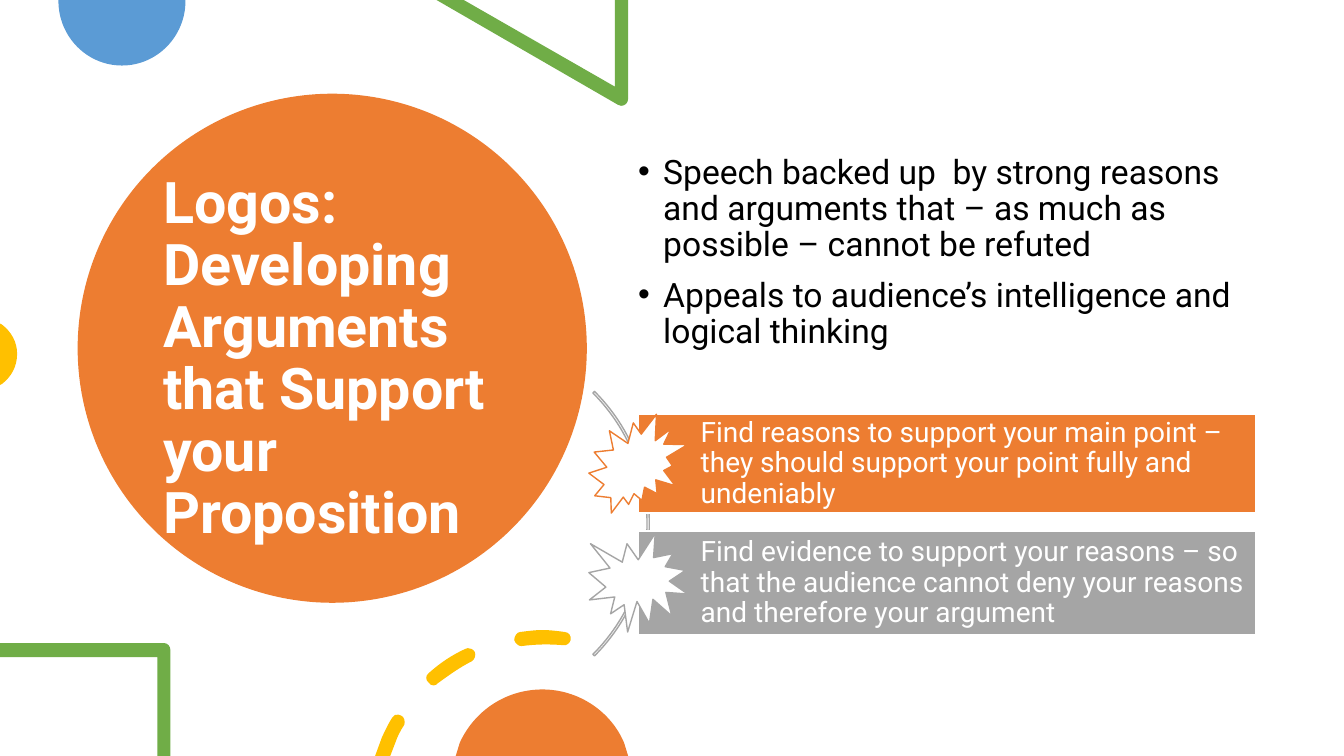
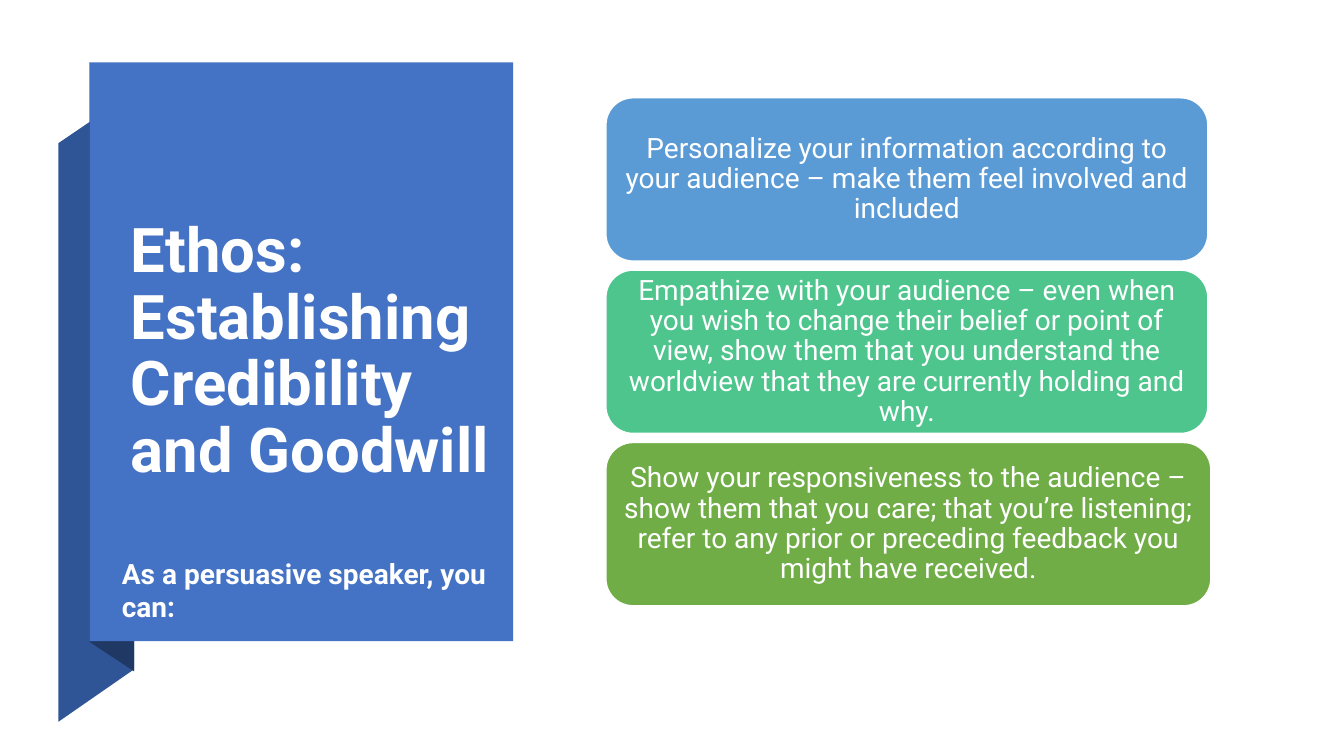
from dataclasses import dataclass

import lxml.etree
import pptx
import pptx.dml.color
import pptx.enum.shapes
import pptx.enum.text
import pptx.oxml.ns
import pptx.util

EMU_PER_PX = 9144  # 100 px to the inch
FONT = "Roboto"
WHITE, BLACK, GRAY = "FFFFFF", "000000", "A5A5A5"
ORANGE, GREEN, YELLOW = "ED7D31", "70AD47", "FFC000"
SKY, MINT, BLUE, DEEP_BLUE, NAVY = "5B9BD5", "4DC58D", "4472C4", "2F5597", "203864"

Preset = pptx.enum.shapes.MSO_SHAPE
Anchor = pptx.enum.text.MSO_ANCHOR
Align = pptx.enum.text.PP_ALIGN


@dataclass(frozen=True)
class Box:
    left: int
    top: int
    width: int
    height: int

    def emu(self) -> tuple:
        return tuple(px(n) for n in (self.left, self.top, self.width, self.height))


@dataclass(frozen=True)
class TextStyle:
    size: int
    color: str = WHITE
    bold: bool = False
    align: Align = Align.LEFT
    anchor: Anchor = Anchor.MIDDLE
    insets: tuple = (10, 5, 10, 5)
    line_spacing: float = 0.9
    space_before: int = 0
    bullet: str = ""


@dataclass(frozen=True)
class Outline:
    """A filled outline; contours use M, L, C and Z steps in px."""
    color: str
    contours: str


@dataclass(frozen=True)
class Step:
    box: Box
    color: str
    burst: Preset
    burst_top: int
    text: str


@dataclass(frozen=True)
class Card:
    width: int
    color: str
    text: str


BODY = TextStyle(24, BLACK, anchor=Anchor.TOP, space_before=10, bullet="•")
STEP_TEXT = TextStyle(20, insets=(62, 6, 6, 6))
CARD_TEXT = TextStyle(20, align=Align.CENTER, insets=(8, 4, 8, 4))
CAPTION = TextStyle(20, bold=True, anchor=Anchor.TOP, line_spacing=1.0)

DECORATIONS = [
    Outline(SKY, "M 184 0 L 58 0 L 58 1 C 58 36 86 65 121 65 C 156 65 184 36 184 1 Z"),
    Outline(GREEN, "M 623 0 L 610 0 L 610 86 L 460 0 L 433 0 L 613 104 "
                   "C 614 105 615 105 616 105 C 620 105 623 102 623 98 Z"),
    Outline(YELLOW, "M 0 321 L 0 382 L 2 381 C 11 374 17 364 17 351 "
                    "C 17 339 11 329 2 322 Z"),
    Outline(GREEN, "M 163 638 L 0 638 L 0 652 L 156 652 L 156 750 L 169 750 "
                   "L 169 645 C 169 641 166 638 163 638 Z"),
    Outline(YELLOW, "M 395 709 C 393 708 390 710 389 712 C 385 718 382 725 379 731 "
                    "L 372 750 L 387 750 L 392 737 C 394 731 397 725 401 719 "
                    "C 402 716 401 711 398 710 C 397 709 396 709 395 709 Z "
                    "M 464 643 C 463 643 462 643 461 644 C 448 650 436 658 425 668 "
                    "C 422 670 422 675 425 677 C 426 679 428 680 430 680 "
                    "C 432 680 433 679 434 678 C 445 670 456 662 468 656 "
                    "C 471 654 472 650 471 647 C 469 644 467 643 464 643 Z "
                    "M 538 625 C 531 625 524 626 516 627 C 513 627 510 631 510 635 "
                    "C 511 638 514 641 517 641 C 532 639 545 639 558 640 "
                    "C 562 641 565 638 566 635 C 567 631 564 627 560 627 "
                    "C 553 626 545 625 538 625 Z"),
    Outline(ORANGE, "M 538 684 C 501 684 470 706 456 737 L 452 750 L 623 750 "
                    "L 619 737 C 606 706 574 684 538 684 Z"),
]
RIBBON_FOLDS = [
    Outline(DEEP_BLUE, "M 58 716 L 133 664 L 133 91 L 58 142 Z"),
    Outline(NAVY, "M 89 637 L 133 666 L 133 90 L 89 62 Z"),
]
STEPS = [
    Step(Box(633, 411, 613, 98), ORANGE, Preset.EXPLOSION2, 411,
         "Find reasons to support your main point – they should support your point "
         "fully and undeniably"),
    Step(Box(633, 527, 613, 103), GRAY, Preset.EXPLOSION1, 529,
         "Find evidence to support your reasons – so that the audience cannot deny "
         "your reasons and therefore your argument"),
]
BURST_LEFT, BURST_SIZE = 584, 98
CARDS = [
    Card(597, SKY, "Personalize your information according to your audience – make "
                   "them feel involved and included"),
    Card(597, MINT, "Empathize with your audience – even when you wish to change their "
                    "belief or point of view, show them that you understand the "
                    "worldview that they are currently holding and why."),
    Card(600, GREEN, "Show your responsiveness to the audience – show them that you "
                     "care; that you’re listening; refer to any prior or preceding "
                     "feedback you might have received."),
]
CARD_LEFT, CARD_TOP, CARD_HEIGHT, CARD_PITCH = 601, 97, 162, 171


def px(length: float) -> int:
    return round(length * EMU_PER_PX)


def rgb(color: str) -> pptx.dml.color.RGBColor:
    return pptx.dml.color.RGBColor.from_string(color)


def paint(shape, fill: str = "", line: str = "") -> None:
    """Set fill and a 1 pt line; an empty colour means none."""
    shape.shadow.inherit = False
    if fill:
        shape.fill.solid()
        shape.fill.fore_color.rgb = rgb(fill)
    else:
        shape.fill.background()
    if line:
        shape.line.color.rgb = rgb(line)
        shape.line.width = pptx.util.Pt(1)
    else:
        shape.line.fill.background()


def add_preset(slide, preset: Preset, box: Box, fill: str = "", line: str = ""):
    shape = slide.shapes.add_shape(preset, *box.emu())
    paint(shape, fill, line)
    return shape


def bend_lines(shape, commands: list) -> None:
    """Merge the three lines that stand for each C step into one cubic curve."""
    lines = iter(list(shape._element.iter(pptx.oxml.ns.qn("a:lnTo"))))
    for command in commands:
        if command == "L":
            next(lines)
        elif command == "C":
            sides = [next(lines) for _ in range(3)]
            curve = lxml.etree.Element(pptx.oxml.ns.qn("a:cubicBezTo"))
            sides[0].addprevious(curve)
            for side in sides:
                curve.append(side[0])
                side.getparent().remove(side)


def add_outline(slide, outline: Outline) -> None:
    builder = None
    for contour in filter(str.strip, outline.contours.split("Z")):
        numbers = [px(int(token)) for token in contour.split() if token.isdigit()]
        start, *rest = zip(numbers[::2], numbers[1::2])
        if builder is None:
            builder = slide.shapes.build_freeform(*start, scale=1.0)
        else:
            builder.move_to(*start)
        builder.add_line_segments(rest, close=True)
    shape = builder.convert_to_shape()
    bend_lines(shape, outline.contours.split())
    paint(shape, outline.color)


def add_bullet(paragraph, mark: str) -> None:
    properties = paragraph._p.get_or_add_pPr()
    properties.set("marL", str(px(25)))
    properties.set("indent", str(px(-25)))
    for tag, key, value in (("a:buFont", "typeface", "Arial"), ("a:buChar", "char", mark)):
        lxml.etree.SubElement(properties, pptx.oxml.ns.qn(tag)).set(key, value)


def write(shape, style: TextStyle, *texts: str) -> None:
    frame = shape.text_frame
    frame.word_wrap = True
    frame.vertical_anchor = style.anchor
    (frame.margin_left, frame.margin_top,
     frame.margin_right, frame.margin_bottom) = map(px, style.insets)
    for index, text in enumerate(texts):
        paragraph = frame.add_paragraph() if index else frame.paragraphs[0]
        paragraph.text = text
        paragraph.alignment = style.align
        paragraph.line_spacing = style.line_spacing
        if index:
            paragraph.space_before = pptx.util.Pt(style.space_before)
        if style.bullet:
            add_bullet(paragraph, style.bullet)
        font = paragraph.font
        font.name, font.size, font.bold = FONT, pptx.util.Pt(style.size), style.bold
        font.color.rgb = rgb(style.color)


def add_text(slide, box: Box, style: TextStyle, *texts: str) -> None:
    write(slide.shapes.add_textbox(*box.emu()), style, *texts)


def add_title(slide, box: Box, size: int, text: str) -> None:
    add_text(slide, box, TextStyle(size, bold=True), text)


def build_logos(slide) -> None:
    add_preset(slide, Preset.OVAL, Box(77, 93, 505, 505), ORANGE)
    add_title(slide, Box(152, 135, 354, 445), 41,
              "Logos: Developing Arguments that Support your Proposition")
    for decoration in DECORATIONS:
        add_outline(slide, decoration)
    add_text(slide, Box(623, 149, 610, 264), BODY,
             "Speech backed up  by strong reasons and arguments that – as much as "
             "possible – cannot be refuted",
             "Appeals to audience’s intelligence and logical thinking")
    arc = add_preset(slide, Preset.BLOCK_ARC, Box(273, 334, 371, 371), line=GRAY)
    for index, value in enumerate((189, 27, 0.006)):
        arc.adjustments[index] = value
    for step in STEPS:
        band = add_preset(slide, Preset.RECTANGLE, step.box, step.color, WHITE)
        write(band, STEP_TEXT, step.text)
        add_preset(slide, step.burst,
                   Box(BURST_LEFT, step.burst_top, BURST_SIZE, BURST_SIZE),
                   WHITE, step.color)


def build_ethos(slide) -> None:
    for fold in RIBBON_FOLDS:
        add_outline(slide, fold)
    add_preset(slide, Preset.RECTANGLE, Box(89, 62, 420, 574), BLUE)
    add_title(slide, Box(120, 97, 389, 506), 44,
              "Ethos: Establishing Credibility and Goodwill")
    for index, card in enumerate(CARDS):
        box = Box(CARD_LEFT, CARD_TOP + index * CARD_PITCH, card.width, CARD_HEIGHT)
        panel = add_preset(slide, Preset.ROUNDED_RECTANGLE, box, card.color, WHITE)
        write(panel, CARD_TEXT, card.text)
    add_text(slide, Box(111, 547, 398, 75), CAPTION, "As a persuasive speaker, you can:")


def main() -> None:
    deck = pptx.Presentation()
    deck.slide_width, deck.slide_height = pptx.util.Inches(13.33), px(750)
    blank = deck.slide_layouts[6]
    for build in (build_logos, build_ethos):
        build(deck.slides.add_slide(blank))
    deck.save("out.pptx")


if __name__ == "__main__":
    main()
